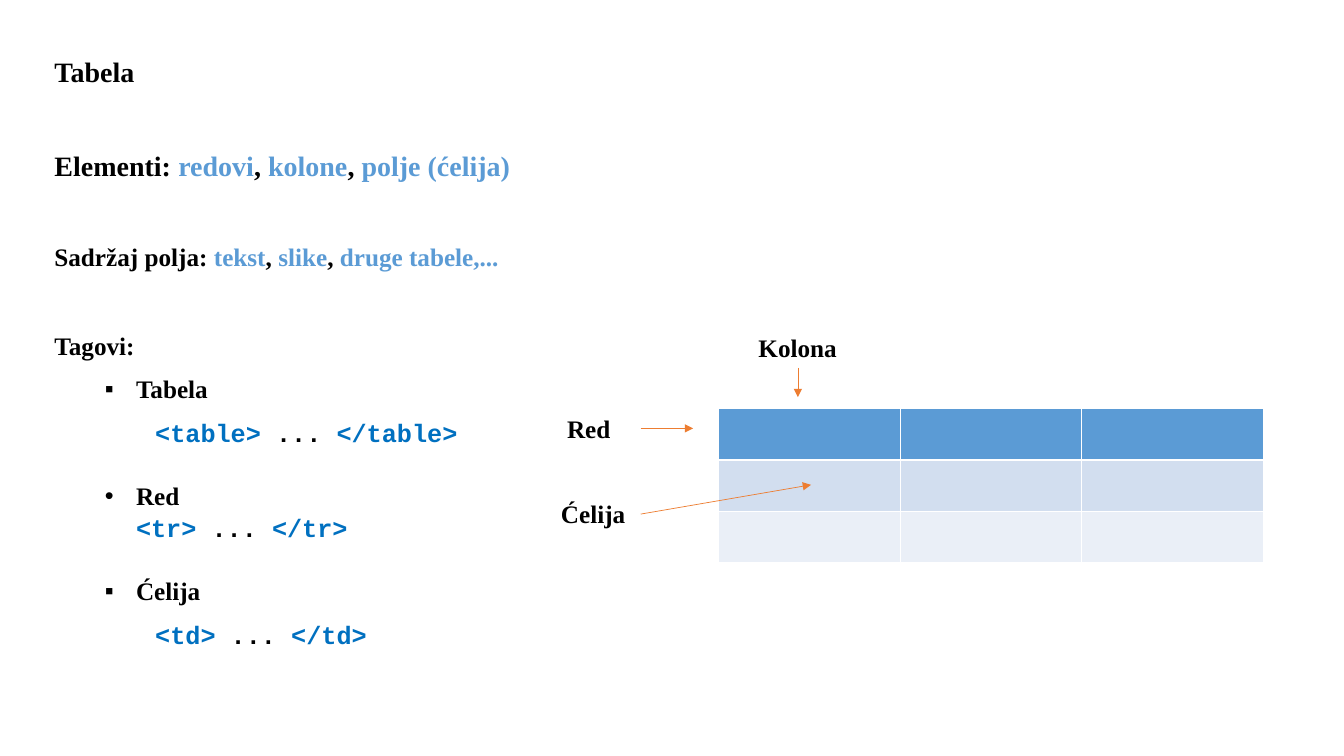
from dataclasses import dataclass
from lxml.etree import SubElement as Sub
from pptx import Presentation
from pptx.dml.color import RGBColor as RGB
from pptx.enum.shapes import MSO_CONNECTOR as Link
from pptx.enum.text import MSO_ANCHOR as Anchor, MSO_AUTO_SIZE as Fit, PP_ALIGN as Align
from pptx.oxml.ns import qn
from pptx.util import Inches, Pt


@dataclass(frozen=True)
class Theme:
    """Colours, fonts and type sizes of the slide."""
    serif: str = "Times New Roman"
    mono: str = "Courier New"
    ink: str = "000000"
    blue: str = "5B9BD5"
    code: str = "0070C0"
    arrow: str = "ED7D31"
    rule: str = "FFFFFF"
    rows: tuple = ("5B9BD5", "D2DEEF", "EAEFF7")
    head: int = 20
    text: int = 18


LOOK = Theme()


def style(para, size, face=LOOK.serif):
    """Set the bold font of a paragraph."""
    font = para.font
    font.name, font.size, font.bold = face, Pt(size), True


def color(run, tone):
    """Colour one run."""
    run.font.color.rgb = RGB.from_string(tone)


def place(shape, left, top, width, height):
    """Move a placeholder and clear its fitting and anchoring."""
    shape.left, shape.top = Inches(left), Inches(top)
    shape.width, shape.height = Inches(width), Inches(height)
    frame = shape.text_frame
    frame.auto_size, frame.vertical_anchor = Fit.NONE, Anchor.TOP
    return frame


def line(para, parts, after, size=LOOK.text, left=0, mark=None,
         face=LOOK.serif, accent=LOOK.blue):
    """Fill a paragraph whose parts turn from ink to accent and back."""
    para.alignment = Align.LEFT
    para.line_spacing = 1.07
    para.space_before, para.space_after = Pt(0), Pt(after)
    props = para._p.get_or_add_pPr()
    props.set("marL", str(Inches(left)))
    props.set("indent", str(Inches(-0.31 if mark else 0)))
    if mark:
        para.level = 1
        Sub(props, qn("a:buFont"), typeface="Arial")
        Sub(props, qn("a:buChar"), char=mark)
    else:
        Sub(props, qn("a:buNone"))
    style(para, size, face)
    for spot, part in enumerate(parts):
        if part:
            run = para.add_run()
            run.text = part
            color(run, accent if spot % 2 else LOOK.ink)


def body(frame):
    """Write the facts and the tag list."""
    facts = [
        (("Elementi: ", "redovi", ", ", "kolone", ", ", "polje (ćelija)"), 40.5, LOOK.head),
        (("Sadržaj polja: ", "tekst", ", ", "slike", ", ", "druge tabele,..."), 40.5, LOOK.text),
        (("Tagovi:",), 8, LOOK.text),
    ]
    tags = [
        ("Tabela", "table", "▪", 8, 1),
        ("Red", "tr", "•", 0, 0.81),
        ("Ćelija", "td", "▪", 8, 1),
    ]
    para = frame.paragraphs[0]
    for parts, after, size in facts:
        line(para, parts, after, size)
        para = frame.add_paragraph()
    for name, tag, mark, after, left in tags:
        line(para, (name,), after, left=0.81, mark=mark)
        code = ("", f"<{tag}> ", "... ", f"</{tag}>")
        line(frame.add_paragraph(), code, 0 if tag == "td" else 22,
             left=left, face=LOOK.mono, accent=LOOK.code)
        if tag != "td":
            para = frame.add_paragraph()


def border(cell, sides):
    """Draw the cell borders, with widths by side."""
    props = cell._tc.get_or_add_tcPr()
    for spot, (side, width) in enumerate(sides.items()):
        edge = Sub(props, qn(f"a:ln{side}"), w=str(Pt(width)))
        Sub(Sub(edge, qn("a:solidFill")), qn("a:srgbClr"), val=LOOK.rule)
        props.insert(spot, edge)


def grid(slide):
    """Add the sample table."""
    count = len(LOOK.rows)
    table = slide.shapes.add_table(count, 3, Inches(7.13), Inches(4.05),
                                   Inches(5.41), Inches(1.53)).table
    for row, tone in enumerate(LOOK.rows):
        for cell in table.rows[row].cells:
            cell.fill.solid()
            cell.fill.fore_color.rgb = RGB.from_string(tone)
            border(cell, {"L": 0.45, "R": 0.45,
                          "T": 1.47 if row == 1 else 0.45,
                          "B": 1.47 if row == 0 else 0.45})


def label(slide, text, left, top, width):
    """Add a one-line label."""
    box = slide.shapes.add_textbox(Inches(left), Inches(top), Inches(width), Inches(0.4))
    box.text_frame.word_wrap = False
    para = box.text_frame.paragraphs[0]
    run = para.add_run()
    run.text = text
    style(para, LOOK.text)
    color(run, LOOK.ink)


def arrow(slide, start, end):
    """Add a thin arrow between two points."""
    link = slide.shapes.add_connector(Link.STRAIGHT, *map(Inches, start + end))
    link.line.color.rgb = RGB.from_string(LOOK.arrow)
    link.line.width = Pt(0.5)
    Sub(link.line._get_or_add_ln(), qn("a:tailEnd"), type="triangle")
    Sub(link._element.spPr, qn("a:effectLst"))


def main():
    """Build and save the slide."""
    deck = Presentation()
    deck.slide_width, deck.slide_height = Inches(13.34), Inches(7.5)
    slide = deck.slides.add_slide(deck.slide_layouts[1])
    title = place(slide.shapes.title, 0.44, 0.47, 12.61, 0.5)
    line(title.paragraphs[0], ("Tabela",), 0, LOOK.head)
    body(place(slide.placeholders[1], 0.44, 1.4, 12.61, 5.09))
    grid(slide)
    marks = [
        ("Kolona", 7.43, 3.25, 0.98, (7.92, 3.65), (7.92, 3.94)),
        ("Red", 5.53, 4.05, 0.63, (6.36, 4.25), (6.88, 4.25)),
        ("Ćelija", 5.47, 4.89, 0.84, (6.36, 5.1), (8.05, 4.81)),
    ]
    for text, left, top, width, start, end in marks:
        label(slide, text, left, top, width)
        arrow(slide, start, end)
    deck.save("out.pptx")


if __name__ == "__main__":
    main()
